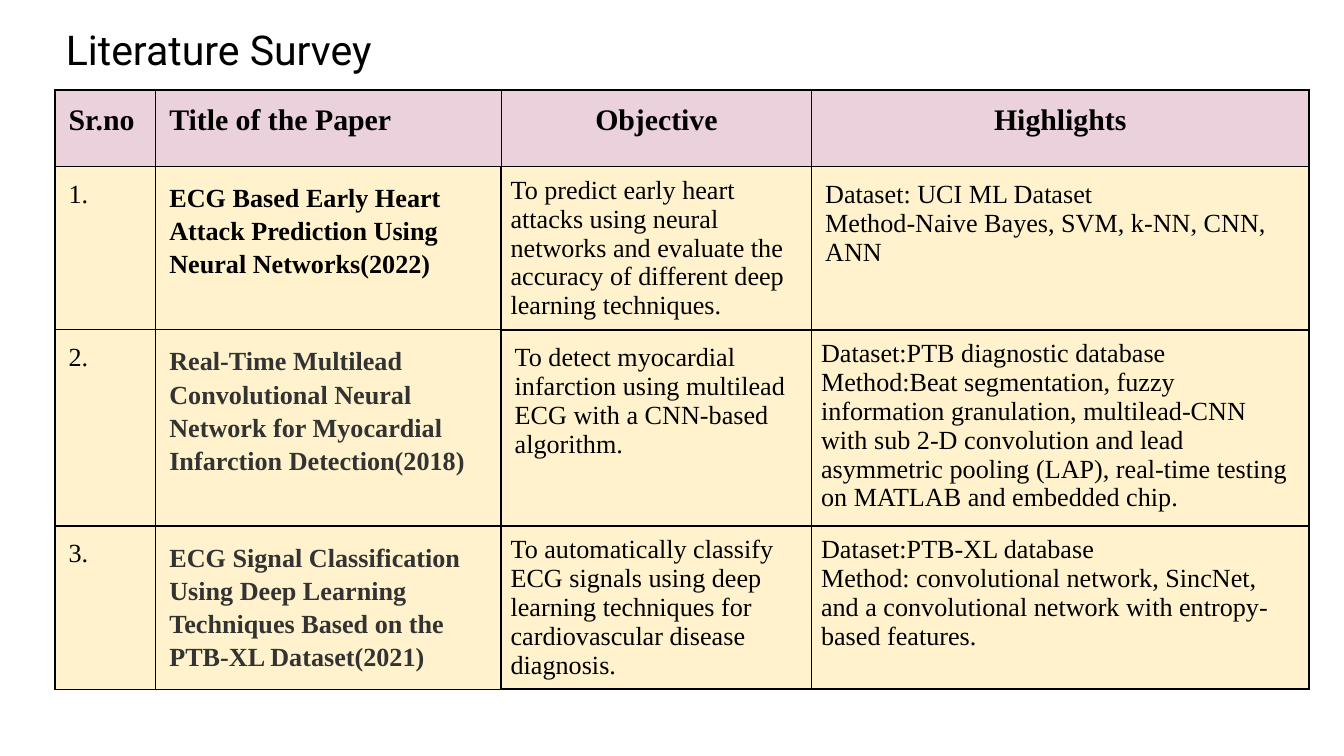
from dataclasses import dataclass

from lxml import etree
from pptx import Presentation
from pptx.dml.color import RGBColor
from pptx.enum.text import MSO_ANCHOR, MSO_AUTO_SIZE, PP_ALIGN
from pptx.oxml.ns import qn
from pptx.util import Inches, Pt

LEFT, CENTER = PP_ALIGN.LEFT, PP_ALIGN.CENTER
TOP = MSO_ANCHOR.TOP
FIXED = MSO_AUTO_SIZE.NONE


@dataclass(frozen=True)
class Theme:
    """Colours, fonts and type sizes."""
    black: str = "000000"
    gray: str = "333333"
    pink: str = "EAD1DC"
    cream: str = "FFF2CC"
    sans: str = "Roboto"
    serif: str = "Times New Roman"
    title: int = 22
    head: int = 16
    body: int = 14


THEME = Theme()
COLS = [0.75, 2.57, 2.31, 3.7]
ROWS = [0.57, 1.21, 1.46, 1.21]
HEADS = ["Sr.no", "Title of the Paper", "Objective", "Highlights"]
WIDE, SLIM = 0.1, 0.07
PAPERS = [
    ("ECG Based Early Heart Attack Prediction Using Neural Networks(2022)",
     THEME.black,
     "To predict early heart attacks using neural networks and evaluate the "
     "accuracy of different deep learning techniques.", SLIM,
     "Dataset: UCI ML Dataset\n"
     "Method-Naive Bayes, SVM, k-NN, CNN, ANN", WIDE),
    ("Real-Time Multilead Convolutional Neural Network for Myocardial "
     "Infarction Detection(2018)",
     THEME.gray,
     "To detect myocardial infarction using multilead ECG with a CNN-based "
     "algorithm.", WIDE,
     "Dataset:PTB diagnostic database\n"
     "Method:Beat segmentation, fuzzy information granulation, multilead-CNN "
     "with sub 2-D convolution and lead asymmetric pooling (LAP), real-time "
     "testing on MATLAB and embedded chip.", SLIM),
    ("ECG Signal Classification Using Deep Learning Techniques Based on the "
     "PTB-XL Dataset(2021)",
     THEME.gray,
     "To automatically classify ECG signals using deep learning techniques "
     "for cardiovascular disease diagnosis.", SLIM,
     "Dataset:PTB-XL database\n"
     "Method: convolutional network, SincNet, and a convolutional network "
     "with entropy-based features.", SLIM),
]


def write(frame, text, font=THEME.serif, size=THEME.body, color=THEME.black,
          bold=False, align=LEFT, line=1.0):
    """Fill a text frame, one paragraph for each line of text."""
    frame.text = text
    for para in frame.paragraphs:
        para.alignment = align
        para.line_spacing = line
        para.space_before = para.space_after = Pt(0)
        for run in para.runs:
            run.font.name = font
            run.font.size = Pt(size)
            run.font.bold = bold
            run.font.color.rgb = RGBColor.from_string(color)


class Deck:
    """Holds the theme and the current slide."""

    def __init__(self, theme):
        """Start a 16:9 deck with one title-only slide."""
        self.theme = theme
        self.file = Presentation()
        self.file.slide_width = Inches(10)
        self.file.slide_height = Inches(10) * 9 // 16
        self.slide = self.file.slides.add_slide(self.file.slide_layouts[5])

    def title(self, text, left, top, width, height):
        """Place and format the title."""
        shape = self.slide.shapes.title
        shape.left, shape.top = Inches(left), Inches(top)
        shape.width, shape.height = Inches(width), Inches(height)
        frame = shape.text_frame
        frame.margin_left = frame.margin_right = Inches(0.07)
        frame.margin_top = frame.margin_bottom = Inches(0.04)
        frame.vertical_anchor = TOP
        frame.auto_size = FIXED
        frame.word_wrap = True
        write(frame, text, font=self.theme.sans, size=self.theme.title)

    def table(self, left, top, cols, rows):
        """Add a plain table with the given column and row sizes."""
        frame = self.slide.shapes.add_table(
            len(rows), len(cols), Inches(left), Inches(top),
            Inches(sum(cols)), Inches(sum(rows)))
        table = frame.table
        table.first_row = table.horz_banding = False
        for col, width in zip(table.columns, cols):
            col.width = Inches(width)
        for row, height in zip(table.rows, rows):
            row.height = Inches(height)
        return table

    def cell(self, cell, text, fill, inset=WIDE, edge=0.75, **style):
        """Fill, border and write one table cell."""
        cell.margin_left = cell.margin_right = Inches(inset)
        cell.margin_top = cell.margin_bottom = Inches(inset)
        cell.vertical_anchor = TOP
        props = cell._tc.get_or_add_tcPr()
        for side in "LRTB":
            line = etree.SubElement(props, qn(f"a:ln{side}"), w=str(Pt(edge)))
            paint = etree.SubElement(line, qn("a:solidFill"))
            etree.SubElement(paint, qn("a:srgbClr"), val=self.theme.black)
        cell.fill.solid()
        cell.fill.fore_color.rgb = RGBColor.from_string(fill)
        write(cell.text_frame, text, **style)


def main():
    """Build the literature survey slide."""
    deck = Deck(THEME)
    deck.title("Literature Survey", 0.42, 0.14, 7.5, 1.1)
    table = deck.table(0.41, 0.67, COLS, ROWS)
    for col, head in enumerate(HEADS):
        deck.cell(table.cell(0, col), head, THEME.pink, size=THEME.head,
                  bold=True, align=CENTER if col > 1 else LEFT)
    for row, paper in enumerate(PAPERS, 1):
        name, color, goal, goal_in, notes, notes_in = paper
        deck.cell(table.cell(row, 0), f"{row}.", THEME.cream)
        deck.cell(table.cell(row, 1), name, THEME.cream, color=color,
                  bold=True, line=1.15)
        deck.cell(table.cell(row, 2), goal, THEME.cream, goal_in, 1)
        deck.cell(table.cell(row, 3), notes, THEME.cream, notes_in, 1)
    deck.file.save("out.pptx")


if __name__ == "__main__":
    main()
